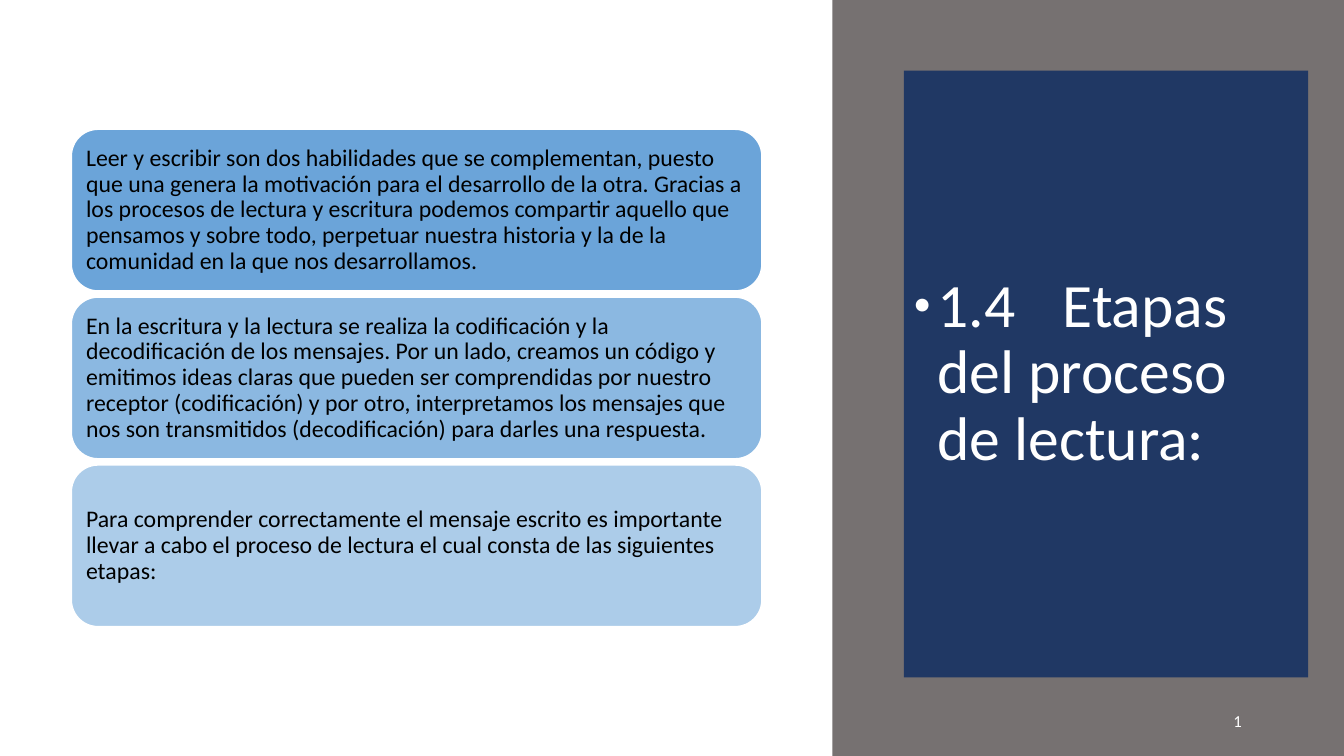
from dataclasses import dataclass

from lxml import etree
from pptx import Presentation
from pptx.dml.color import RGBColor
from pptx.enum import shapes, text
from pptx.oxml import ns
from pptx.util import Cm, Pt

FONT = "Calibri"
WHITE, BLACK = "FFFFFF", "000000"
GREY, NAVY, BLUE = "767171", "203864", "5B9BD5"


@dataclass
class Card:
    words: str
    alpha: int


CARDS = [
    Card("Leer y escribir son dos habilidades que se complementan, puesto que "
         "una genera la motivación para el desarrollo de la otra. Gracias a los "
         "procesos de lectura y escritura podemos compartir aquello que pensamos "
         "y sobre todo, perpetuar nuestra historia y la de la comunidad en la que "
         "nos desarrollamos.", 90),
    Card("En la escritura y la lectura se realiza la codificación y la "
         "decodificación de los mensajes. Por un lado, creamos un código y "
         "emitimos ideas claras que pueden ser comprendidas por nuestro receptor "
         "(codificación) y por otro, interpretamos los mensajes que nos son "
         "transmitidos (decodificación) para darles una respuesta.", 70),
    Card("Para comprender correctamente el mensaje escrito es importante llevar "
         "a cabo el proceso de lectura el cual consta de las siguientes etapas:",
         50),
]
TOP, STEP = 3.25, 4.23


def paint(fill, color: str) -> None:
    fill.solid()
    fill.fore_color.rgb = RGBColor.from_string(color)


def write(shape, words: str, size: float, color: str, pad: float = 0.25):
    """Fill the shape with one vertically centred paragraph and return it."""
    frame = shape.text_frame
    frame.word_wrap = True
    frame.auto_size = text.MSO_AUTO_SIZE.NONE
    frame.vertical_anchor = text.MSO_ANCHOR.MIDDLE
    frame.margin_left = frame.margin_right = Cm(pad)
    frame.margin_top = frame.margin_bottom = Cm(min(pad, 0.18))
    frame.text = words
    par = frame.paragraphs[0]
    par.alignment = text.PP_ALIGN.LEFT
    par.line_spacing = 0.9
    return par


def style(par, size: float, color: str) -> None:
    par.font.name = FONT
    par.font.size = Pt(size)
    paint(par.font.fill, color)


def add_card(slide, card: Card, top: float) -> None:
    box = slide.shapes.add_shape(shapes.MSO_SHAPE.ROUNDED_RECTANGLE,
                                 Cm(1.79), Cm(top), Cm(17.42), Cm(4.09))
    box.shadow.inherit = False
    paint(box.fill, BLUE)
    paint(box.line.fill, WHITE)
    box.line.width = Pt(1.5)
    tint = box.element.spPr.find(ns.qn("a:solidFill"))[0]
    etree.SubElement(tint, ns.qn("a:alpha"), val=str(card.alpha * 1000))
    style(write(box, card.words, 17, BLACK, 0.18), 17, BLACK)


def add_bullet(par, indent: float, stop: float) -> None:
    """Give the paragraph a small hanging dot and one left tab stop."""
    props = par._p.get_or_add_pPr()
    props.set("marL", str(Cm(indent)))
    props.set("indent", str(-Cm(indent)))
    etree.SubElement(props, ns.qn("a:buSzPct"), val="45000")
    etree.SubElement(props, ns.qn("a:buFont"), typeface=FONT)
    etree.SubElement(props, ns.qn("a:buChar"), char="●")
    tabs = etree.SubElement(props, ns.qn("a:tabLst"))
    etree.SubElement(tabs, ns.qn("a:tab"), pos=str(Cm(stop)), algn="l")


def add_title(slide) -> None:
    title = slide.shapes.title
    title.left, title.top = Cm(22.78), Cm(1.78)
    title.width, title.height = Cm(10.19), Cm(15.29)
    paint(title.fill, NAVY)
    par = write(title, "1.4\tEtapas del proceso de lectura:", 44, WHITE)
    add_bullet(par, 0.6, 3.75)
    style(par, 44, WHITE)


def add_panel(slide) -> None:
    panel = slide.shapes.add_shape(shapes.MSO_SHAPE.RECTANGLE,
                                   Cm(20.98), 0, Cm(12.89), Cm(19.05))
    panel.shadow.inherit = False
    paint(panel.fill, GREY)
    panel.line.fill.background()
    slide.shapes.title.element.addprevious(panel.element)


def add_number(slide) -> None:
    box = slide.shapes.add_textbox(Cm(23.93), Cm(17.65), Cm(7.62), Cm(1.02))
    par = write(box, "1", 12, WHITE)
    par.alignment = text.PP_ALIGN.RIGHT
    par.line_spacing = 1.0
    style(par, 12, WHITE)


def main() -> None:
    deck = Presentation()
    deck.slide_width, deck.slide_height = Cm(33.87), Cm(19.05)
    slide = deck.slides.add_slide(deck.slide_layouts[5])
    add_panel(slide)
    add_title(slide)
    for row, card in enumerate(CARDS):
        add_card(slide, card, TOP + row * STEP)
    add_number(slide)
    deck.save("out.pptx")


if __name__ == "__main__":
    main()
